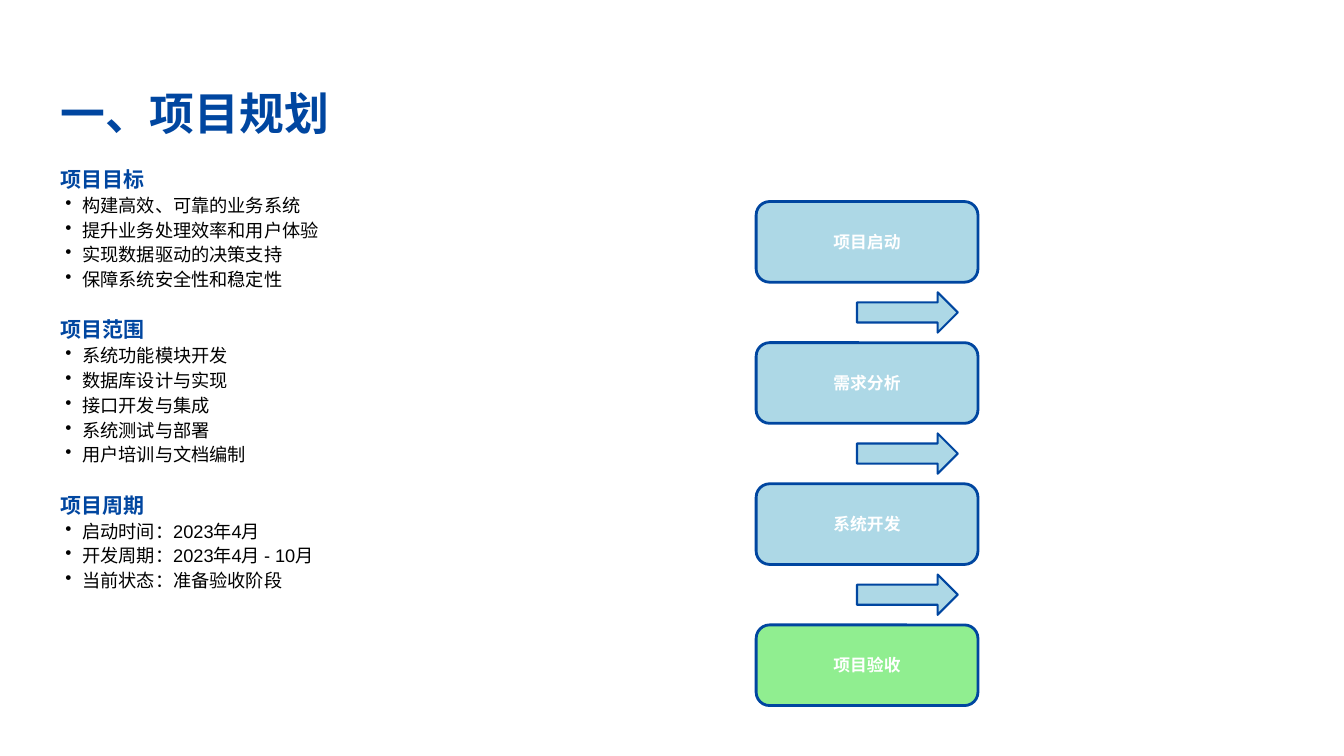
from lxml import etree
from pptx import Presentation
from pptx import util as u
from pptx.dml.color import RGBColor
from pptx.enum import shapes, text
from pptx.oxml.ns import qn

BLUE, BLACK, WHITE = "0046A0", "000000", "FFFFFF"
LIGHT_BLUE, LIGHT_GREEN = "ADD8E6", "90EE90"

SECTIONS = {
    "项目目标": [
        "构建高效、可靠的业务系统",
        "提升业务处理效率和用户体验",
        "实现数据驱动的决策支持",
        "保障系统安全性和稳定性",
    ],
    "项目范围": [
        "系统功能模块开发",
        "数据库设计与实现",
        "接口开发与集成",
        "系统测试与部署",
        "用户培训与文档编制",
    ],
    "项目周期": [
        "启动时间：2023年4月",
        "开发周期：2023年4月 - 10月",
        "当前状态：准备验收阶段",
    ],
}
STAGES = ["项目启动", "需求分析", "系统开发", "项目验收"]
STAGE_TOP, STAGE_PITCH = 2, 1.4


def color(value):
    return RGBColor.from_string(value)


def add_bullet(paragraph):
    properties = paragraph._p.get_or_add_pPr()
    properties.set("marL", str(u.Inches(0.22)))
    properties.set("indent", str(u.Inches(-0.17)))
    etree.SubElement(properties, qn("a:buChar")).set("char", "•")


class PlanSlide:
    font_name = "Arial"

    def __init__(self, presentation):
        self.slide = presentation.slides.add_slide(presentation.slide_layouts[6])

    def style(self, paragraph, size, font_color, bold):
        font = paragraph.font
        font.name, font.size, font.bold = self.font_name, u.Pt(size), bold
        font.color.rgb = color(font_color)

    def text_frame(self, left, top, width, height, wrap):
        box = self.slide.shapes.add_textbox(*map(u.Inches, (left, top, width, height)))
        frame = box.text_frame
        frame.word_wrap = wrap
        frame.auto_size = text.MSO_AUTO_SIZE.SHAPE_TO_FIT_TEXT
        return frame

    def title(self, wording):
        paragraph = self.text_frame(0.5, 0.8, 12.33, 0.6, False).paragraphs[0]
        paragraph.text = wording
        self.style(paragraph, 32, BLUE, True)

    def outline(self, sections):
        """Headings with bulleted items in one text box."""
        frame = self.text_frame(0.5, 1.6, 6.5, 4.8, True)
        for index, (heading, items) in enumerate(sections.items()):
            paragraph = frame.add_paragraph() if index else frame.paragraphs[0]
            paragraph.text = heading
            paragraph.space_after = u.Pt(2)
            if index:
                paragraph.space_before = u.Pt(17)
            self.style(paragraph, 15, BLUE, True)
            for item in items:
                paragraph = frame.add_paragraph()
                paragraph.text = item
                paragraph.space_after = u.Pt(2)
                add_bullet(paragraph)
                self.style(paragraph, 13, BLACK, False)

    def shape(self, kind, left, top, width, height, fill, line_width):
        shape = self.slide.shapes.add_shape(
            kind, *map(u.Inches, (left, top, width, height)))
        shape.shadow.inherit = False
        shape.fill.solid()
        shape.fill.fore_color.rgb = color(fill)
        shape.line.color.rgb = color(BLUE)
        shape.line.width = u.Pt(line_width)
        return shape

    def stage(self, wording, top, fill):
        shape = self.shape(shapes.MSO_SHAPE.ROUNDED_RECTANGLE,
                           7.5, top, 2.2, 0.8, fill, 2)
        shape.text_frame.vertical_anchor = text.MSO_ANCHOR.MIDDLE
        paragraph = shape.text_frame.paragraphs[0]
        paragraph.text = wording
        paragraph.alignment = text.PP_ALIGN.CENTER
        self.style(paragraph, 12, WHITE, True)

    def arrow(self, top):
        self.shape(shapes.MSO_SHAPE.RIGHT_ARROW, 8.5, top, 1, 0.4, LIGHT_BLUE, 1.5)


def main():
    presentation = Presentation()
    presentation.slide_width = u.Inches(13.33)
    presentation.slide_height = u.Inches(7.5)
    plan = PlanSlide(presentation)
    plan.title("一、项目规划")
    plan.outline(SECTIONS)
    for index, wording in enumerate(STAGES):
        top = STAGE_TOP + index * STAGE_PITCH
        is_last = index == len(STAGES) - 1
        plan.stage(wording, top, LIGHT_GREEN if is_last else LIGHT_BLUE)
        if not is_last:
            plan.arrow(top + 0.9)
    presentation.save("out.pptx")


if __name__ == "__main__":
    main()
